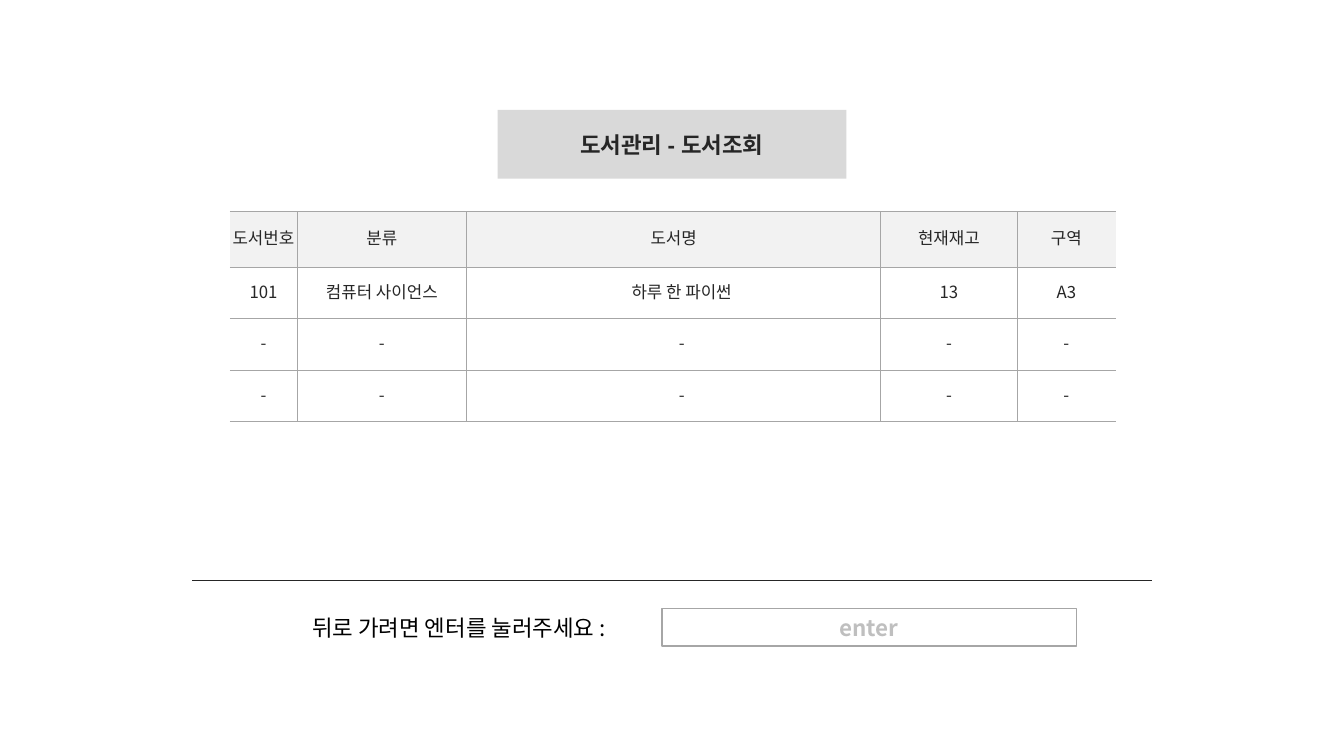
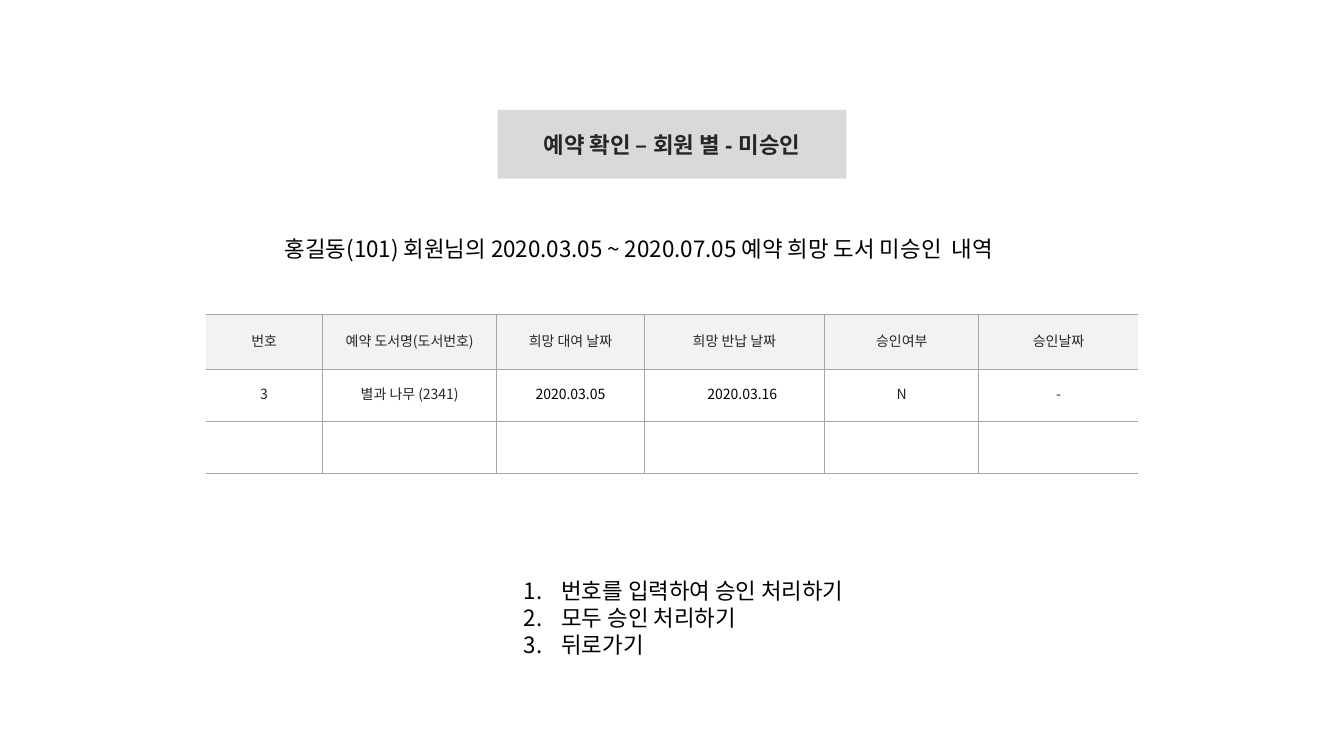
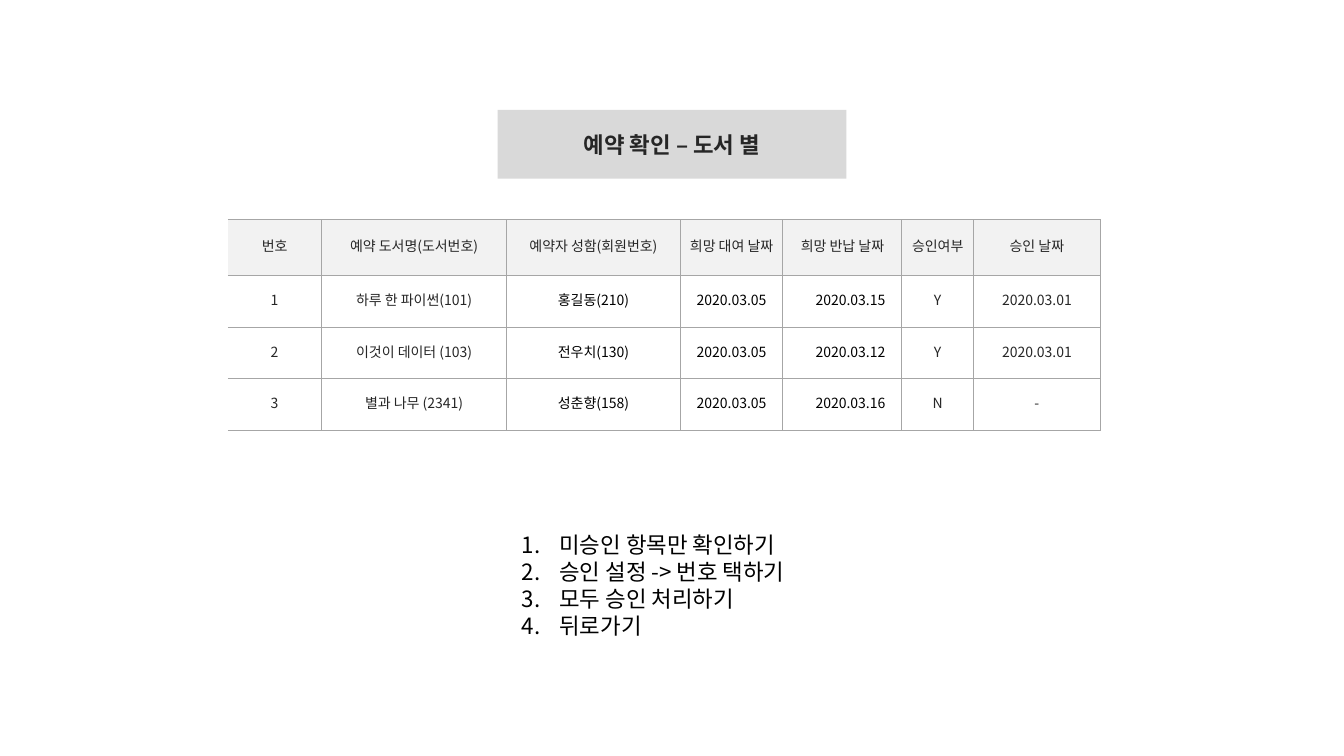
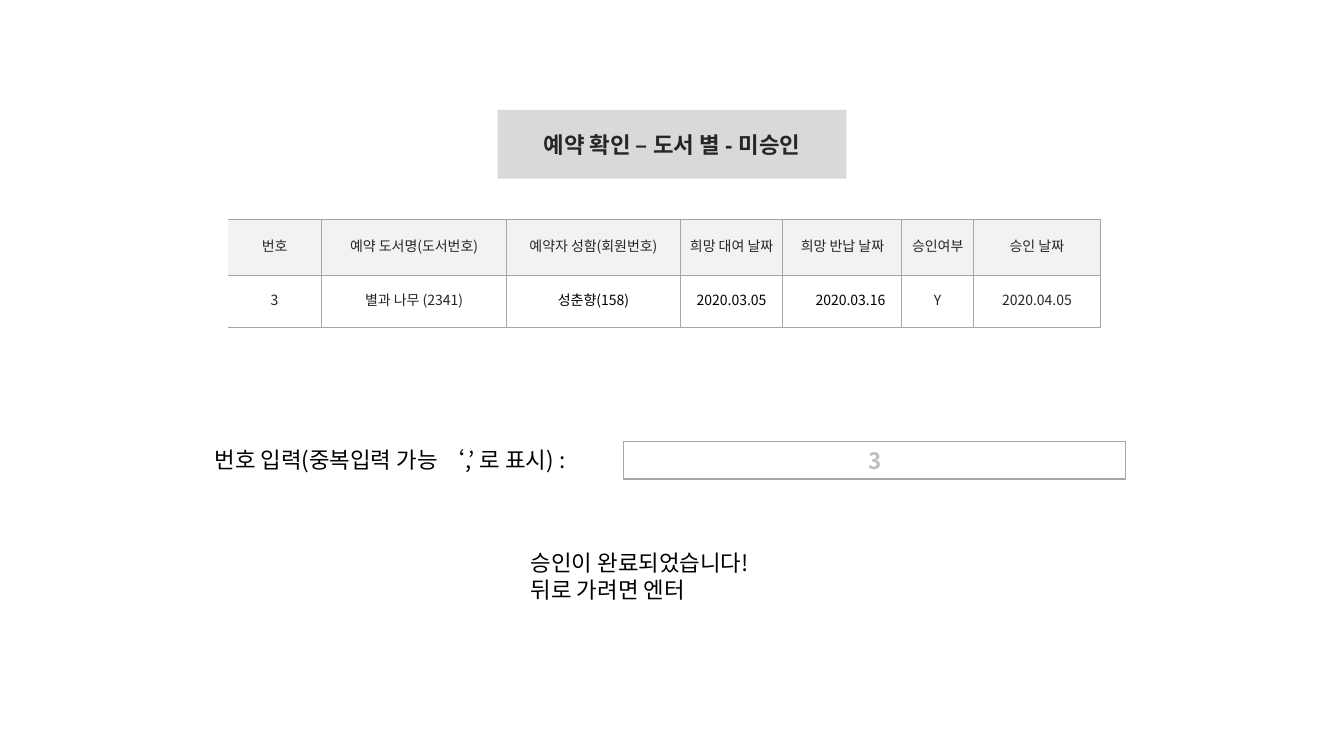
from lxml.etree import SubElement
from pptx import Presentation
from pptx.dml.color import RGBColor
from pptx.enum.shapes import MSO_CONNECTOR, MSO_SHAPE
from pptx.enum.text import MSO_ANCHOR, PP_ALIGN
from pptx.oxml.ns import qn
from pptx.oxml.xmlchemy import OxmlElement
from pptx.util import Cm, Pt

BLACK = RGBColor(0x00, 0x00, 0x00)
INK = RGBColor(0x26, 0x26, 0x26)
HINT = RGBColor(0xBF, 0xBF, 0xBF)
RULE = RGBColor(0xA6, 0xA6, 0xA6)
BAND = RGBColor(0xD9, 0xD9, 0xD9)
HEAD = RGBColor(0xF2, 0xF2, 0xF2)
WHITE = RGBColor(0xFF, 0xFF, 0xFF)

KOREAN = "Noto Sans CJK KR"
LATIN = "Arial"
TEXT_SIZE = 16
LINE_PITCH = 1.2

# All lengths are in centimetres.
SLIDE_WIDTH, SLIDE_HEIGHT = 33.87, 19.05
TITLE_WIDTH, TITLE_HEIGHT, TITLE_TOP = 8.79, 1.73, 2.77
HEAD_HEIGHT, ROW_HEIGHT = 1.4, 1.3
FIELD_HEIGHT = 0.94
TEXT_INSET = 0.4
LIST_INDENT = 0.95

LOAN_HEADINGS = ("번호", "예약 도서명(도서번호)", "예약자 성함(회원번호)",
                 "희망 대여 날짜", "희망 반납 날짜", "승인여부", "승인 날짜")
# "inset" and "black" hold the column numbers so styled below the heading row.
LOAN_TABLE = {
    "left": 5.74, "top": 5.54, "size": 10, "inset": (4,), "black": (2, 3, 4),
    "columns": (2.36, 4.67, 4.37, 2.59, 3.0, 1.8, 3.2), "right_edge": True,
}

SLIDES = [
    {
        "title": "도서관리 - 도서조회",
        "table": {
            "left": 5.79, "top": 5.33, "size": 12, "inset": (2,), "black": (),
            "columns": (1.7, 4.27, 10.44, 3.43, 2.49), "right_edge": False,
            "rows": [
                ("도서번호", "분류", "도서명", "현재재고", "구역"),
                ("101", "컴퓨터 사이언스", "하루 한 파이썬", "13", "A3"),
                ("-",) * 5,
                ("-",) * 5,
            ],
        },
        "divider": (4.85, 14.63, 24.18),
        "texts": [(["뒤로 가려면 엔터를 눌러주세요 :"], 7.62, 15.34, 9.04, False)],
        "field": ("enter", 16.68, 15.34, 10.45),
    },
    {
        "title": "예약 확인 – 회원 별 - 미승인",
        "table": {
            "left": 5.18, "top": 7.92, "size": 10, "inset": (3,), "black": (2, 3),
            "columns": (2.95, 4.39, 3.71, 4.55, 3.89, 4.01), "right_edge": False,
            "rows": [
                ("번호", "예약 도서명(도서번호)", "희망 대여 날짜",
                 "희망 반납 날짜", "승인여부", "승인날짜"),
                ("3", "별과 나무 (2341)", "2020.03.05", "2020.03.16", "N", "-"),
                ("",) * 6,
            ],
        },
        "texts": [
            (["홍길동(101) 회원님의 2020.03.05 ~ 2020.07.05 예약 희망 도서 미승인  내역"],
             6.93, 5.79, 20.04, False),
            (["번호를 입력하여 승인 처리하기", "모두 승인 처리하기", "뒤로가기"],
             12.95, 14.43, 9.47, True),
        ],
    },
    {
        "title": "예약 확인 – 도서 별",
        "table": LOAN_TABLE | {"rows": [
            LOAN_HEADINGS,
            ("1", "하루 한 파이썬(101)", "홍길동(210)", "2020.03.05", "2020.03.15", "Y", "2020.03.01"),
            ("2", "이것이 데이터 (103)", "전우치(130)", "2020.03.05", "2020.03.12", "Y", "2020.03.01"),
            ("3", "별과 나무 (2341)", "성춘향(158)", "2020.03.05", "2020.03.16", "N", "-"),
        ]},
        "texts": [
            (["미승인 항목만 확인하기", "승인 설정 -> 번호 택하기", "모두 승인 처리하기", "뒤로가기"],
             12.9, 13.26, 8.05, True),
        ],
    },
    {
        "title": "예약 확인 – 도서 별 - 미승인",
        "table": LOAN_TABLE | {"rows": [
            LOAN_HEADINGS,
            ("3", "별과 나무 (2341)", "성춘향(158)", "2020.03.05", "2020.03.16", "Y", "2020.04.05"),
        ]},
        "texts": [
            (["번호 입력(중복입력 가능 ‘,’ 로 표시) :"], 5.16, 11.13, 10.13, False),
            (["승인이 완료되었습니다!", "뒤로 가려면 엔터"], 13.13, 13.72, 6.58, False),
        ],
        "field": ("3", 15.72, 11.13, 12.65),
    },
]


def style_paragraph(para, size, color, align=PP_ALIGN.LEFT, bold=False, font=KOREAN):
    para.alignment = align
    para.line_spacing = Pt(size * LINE_PITCH)
    para.font.size = Pt(size)
    para.font.bold = bold
    para.font.color.rgb = color
    para.font.name = font
    defaults = para._p.pPr.find(qn("a:defRPr"))
    SubElement(defaults, qn("a:ea")).set("typeface", KOREAN)


def number_paragraph(para):
    properties = para._p.pPr
    indent = Cm(LIST_INDENT)
    properties.set("marL", str(indent))
    properties.set("indent", str(-indent))
    bullet = OxmlElement("a:buAutoNum")
    bullet.set("type", "arabicPeriod")
    properties.find(qn("a:defRPr")).addprevious(bullet)


def add_box(page, text, left, top, width, height, fill, color, line=None, font=KOREAN):
    box = page.shapes.add_shape(MSO_SHAPE.RECTANGLE, Cm(left), Cm(top), Cm(width), Cm(height))
    box.shadow.inherit = False
    box.fill.solid()
    box.fill.fore_color.rgb = fill
    if line is None:
        box.line.fill.background()
    else:
        box.line.color.rgb = line
        box.line.width = Pt(1)
    box.text_frame.text = text
    box.text_frame.vertical_anchor = MSO_ANCHOR.MIDDLE
    style_paragraph(box.text_frame.paragraphs[0], TEXT_SIZE, color, PP_ALIGN.CENTER, True, font)


def add_text(page, lines, left, top, width, numbered):
    height = 0.25 + 0.68 * len(lines)
    box = page.shapes.add_textbox(Cm(left), Cm(top), Cm(width), Cm(height))
    box.text_frame.word_wrap = True
    box.text_frame.text = "\n".join(lines)
    for para in box.text_frame.paragraphs:
        style_paragraph(para, TEXT_SIZE, BLACK)
        if numbered:
            number_paragraph(para)


def add_divider(page, left, top, width):
    line = page.shapes.add_connector(
        MSO_CONNECTOR.STRAIGHT, Cm(left), Cm(top), Cm(left + width), Cm(top))
    line.line.color.rgb = INK
    line.line.width = Pt(0.5)
    SubElement(line._element.spPr, qn("a:effectLst"))


def set_borders(cell, hidden):
    """Rule all four sides of a cell except the hidden ones (L, R, T, B)."""
    properties = cell._tc.get_or_add_tcPr()
    for index, side in enumerate("LRTB"):
        border = OxmlElement(f"a:ln{side}")
        border.set("w", str(Pt(0.75)))
        if side in hidden:
            SubElement(border, qn("a:noFill"))
        else:
            fill = SubElement(border, qn("a:solidFill"))
            SubElement(fill, qn("a:srgbClr")).set("val", str(RULE))
        properties.insert(index, border)


def add_grid(page, left, top, size, inset, black, columns, right_edge, rows):
    height = HEAD_HEIGHT + ROW_HEIGHT * (len(rows) - 1)
    table = page.shapes.add_table(
        len(rows), len(columns), Cm(left), Cm(top), Cm(sum(columns)), Cm(height)).table
    table.first_row = table.horz_banding = False
    for column, width in zip(table.columns, columns):
        column.width = Cm(width)
    for r, values in enumerate(rows):
        is_head = r == 0
        table.rows[r].height = Cm(HEAD_HEIGHT if is_head else ROW_HEIGHT)
        for c, value in enumerate(values):
            cell = table.cell(r, c)
            cell.text = value
            cell.vertical_anchor = MSO_ANCHOR.MIDDLE
            cell.margin_right = cell.margin_top = cell.margin_bottom = 0
            cell.margin_left = Cm(TEXT_INSET if c in inset and not is_head else 0)
            cell.fill.solid()
            cell.fill.fore_color.rgb = HEAD if is_head else WHITE
            color = BLACK if c in black and not is_head else INK
            style_paragraph(cell.text_frame.paragraphs[0], size, color, PP_ALIGN.CENTER)
            hidden = "L" if c == 0 else ""
            if c == len(columns) - 1 and not right_edge:
                hidden += "R"
            set_borders(cell, hidden)


def main():
    deck = Presentation()
    deck.slide_width, deck.slide_height = Cm(SLIDE_WIDTH), Cm(SLIDE_HEIGHT)
    for content in SLIDES:
        page = deck.slides.add_slide(deck.slide_layouts[6])
        add_box(page, content["title"], (SLIDE_WIDTH - TITLE_WIDTH) / 2, TITLE_TOP,
                TITLE_WIDTH, TITLE_HEIGHT, BAND, INK, font=LATIN)
        add_grid(page, **content["table"])
        if "divider" in content:
            add_divider(page, *content["divider"])
        for text in content["texts"]:
            add_text(page, *text)
        if "field" in content:
            add_box(page, *content["field"], FIELD_HEIGHT, WHITE, HINT, RULE)
    deck.save("out.pptx")


if __name__ == "__main__":
    main()
